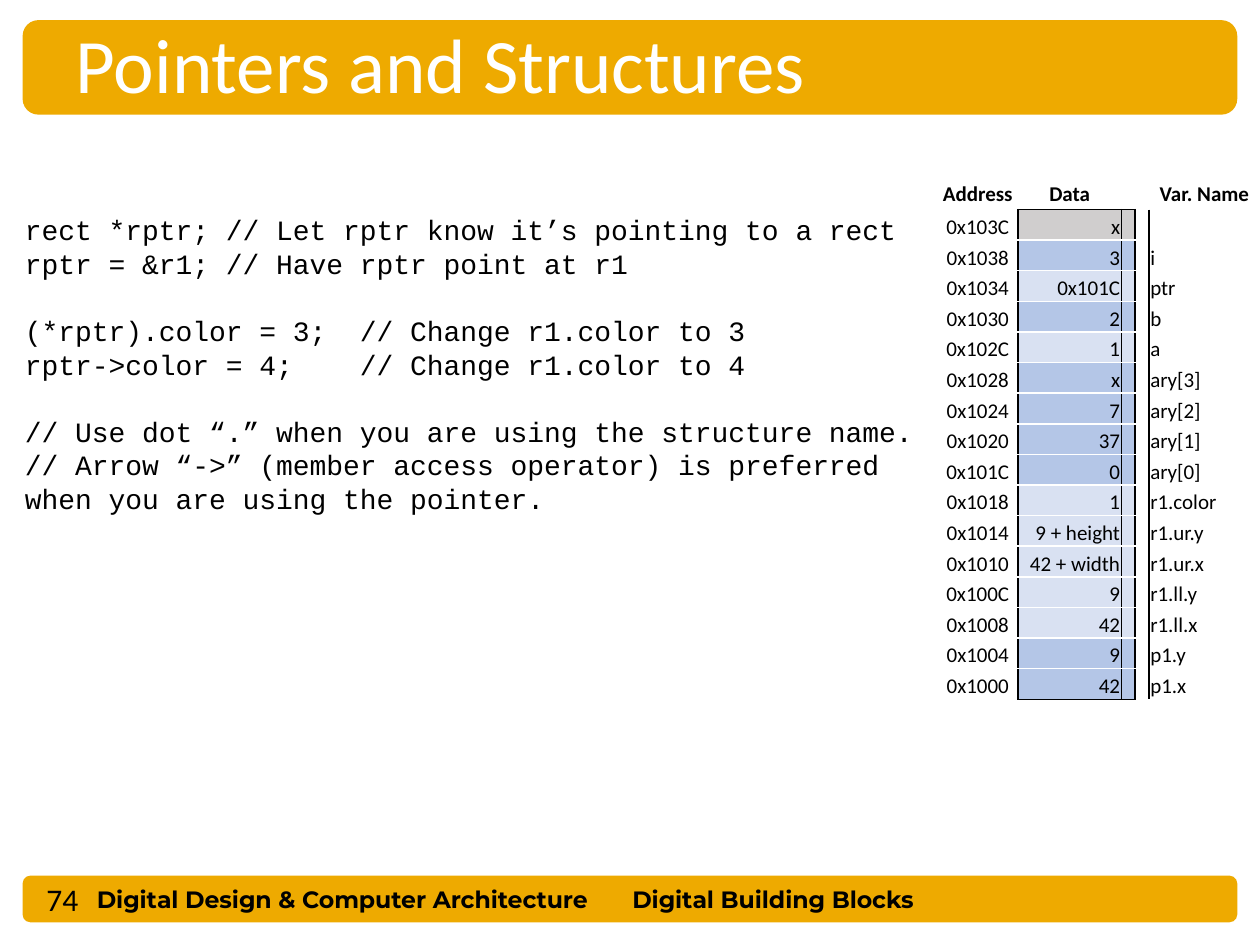
from typing import NamedTuple

from lxml.etree import SubElement
from pptx import Presentation
from pptx.dml.color import RGBColor
from pptx.enum.shapes import MSO_SHAPE
from pptx.enum.text import MSO_ANCHOR, PP_ALIGN
from pptx.oxml.ns import qn
from pptx.util import Inches, Pt

GOLD = RGBColor(0xEE, 0xAA, 0x00)
BLACK = RGBColor(0x00, 0x00, 0x00)
WHITE = RGBColor(0xFF, 0xFF, 0xFF)
GREY = RGBColor(0xD0, 0xCE, 0xCE)
BLUE = RGBColor(0xB4, 0xC6, 0xE7)
PALE = RGBColor(0xD9, 0xE1, 0xF2)

UNIT = Inches(0.1)  # the slide is a grid of 100 columns by 75 rows
TOP_ADDRESS = 0x103C
WORD_BYTES = 4
NO_STYLE = "{2D5ABB26-0587-4C30-8999-92F81FD0307C}"


class Box(NamedTuple):
    """Left, top, width and height in grid units."""
    left: float
    top: float
    width: float
    height: float

    def emu(self) -> list[int]:
        return [round(v * UNIT) for v in self]


class Style(NamedTuple):
    font: str
    size: float
    color: RGBColor = BLACK
    bold: bool = False


class Label(NamedTuple):
    text: str
    box: Box
    style: Style


class Word(NamedTuple):
    data: str
    name: str
    fill: RGBColor


class CodeLine(NamedTuple):
    text: str
    starts_group: bool = False


TITLE = Style("Calibri", 44, WHITE)
CODE = Style("Courier New", 16)
FOOTER = Style("Montserrat", 13.5, bold=True)
HEADER = Style("Calibri", 12, bold=True)
CELL = Style("Calibri", 12)

BARS = [Box(1.8, 69.5, 96.4, 3.7), Box(1.8, 1.6, 96.4, 7.5)]
LABELS = [
    Label("Digital Design & Computer Architecture", Box(6.7, 69.7, 44.4, 3.3), FOOTER),
    Label("Digital Building Blocks", Box(49.2, 69.7, 29.4, 3.3), FOOTER),
    Label("74", Box(2.7, 69.4, 8.2, 3.9), Style("Calibri", 18)),
]
CODE_LINES = [
    CodeLine("rect *rptr; // Let rptr know it’s pointing to a rect"),
    CodeLine("rptr = &r1; // Have rptr point at r1"),
    CodeLine("(*rptr).color = 3;  // Change r1.color to 3", True),
    CodeLine("rptr->color = 4;    // Change r1.color to 4"),
    CodeLine("// Use dot “.” when you are using the structure name.", True),
    CodeLine("// Arrow “->” (member access operator) is preferred "
             "when you are using the pointer."),
]
CODE_PITCH = Pt(19.2)

COLUMNS = [6.4, 8.2, 1.1, 1.1, 8.8]
HEADINGS = ["Address", "Data", "", "", "Var. Name"]
ALIGNS = [PP_ALIGN.CENTER, PP_ALIGN.RIGHT, PP_ALIGN.LEFT, PP_ALIGN.LEFT, PP_ALIGN.LEFT]
MEMORY = [
    Word("x", "", GREY),
    Word("3", "i", BLUE),
    Word("0x101C", "ptr", PALE),
    Word("2", "b", BLUE),
    Word("1", "a", PALE),
    Word("x", "ary[3]", BLUE),
    Word("7", "ary[2]", BLUE),
    Word("37", "ary[1]", BLUE),
    Word("0", "ary[0]", BLUE),
    Word("1", "r1.color", PALE),
    Word("9 + height", "r1.ur.y", PALE),
    Word("42 + width", "r1.ur.x", PALE),
    Word("9", "r1.ll.y", PALE),
    Word("42", "r1.ll.x", PALE),
    Word("9", "p1.y", BLUE),
    Word("42", "p1.x", BLUE),
]


def format_runs(p, style: Style) -> None:
    for r in p.runs:
        f = r.font
        f.name, f.size, f.bold = style.font, Pt(style.size), style.bold
        f.color.rgb = style.color


def add_bar(s, box: Box) -> None:
    sp = s.shapes.add_shape(MSO_SHAPE.ROUNDED_RECTANGLE, *box.emu())
    sp.shadow.inherit = False
    sp.fill.solid()
    sp.fill.fore_color.rgb = GOLD
    sp.line.fill.background()


def add_label(s, label: Label) -> None:
    tf = s.shapes.add_textbox(*label.box.emu()).text_frame
    tf.word_wrap = True
    tf.vertical_anchor = MSO_ANCHOR.MIDDLE
    tf.text = label.text
    format_runs(tf.paragraphs[0], label.style)


def place_title(s, text: str, box: Box) -> None:
    """Fill the title placeholder and bring it in front of the bars."""
    sp = s.shapes.title
    sp.left, sp.top, sp.width, sp.height = box.emu()
    sp.text_frame.text = text
    sp.text_frame.vertical_anchor = MSO_ANCHOR.MIDDLE
    p = sp.text_frame.paragraphs[0]
    p.alignment = PP_ALIGN.LEFT
    format_runs(p, TITLE)
    s.shapes._spTree.append(sp._element)


def add_code(s, lines: list[CodeLine], box: Box) -> None:
    tf = s.shapes.add_textbox(*box.emu()).text_frame
    tf.word_wrap = True
    for i, line in enumerate(lines):
        p = tf.add_paragraph() if i else tf.paragraphs[0]
        p.text = line.text
        p.line_spacing = CODE_PITCH
        p.space_before = CODE_PITCH if line.starts_group else Pt(0)
        format_runs(p, CODE)


def set_borders(cell, **sides: RGBColor) -> None:
    """Draw 1 pt borders on the sides L, R, T and B, given in that order."""
    for side, color in sides.items():
        ln = SubElement(cell._tc.get_or_add_tcPr(), qn(f"a:ln{side}"), w=str(Pt(1)))
        SubElement(SubElement(ln, qn("a:solidFill")), qn("a:srgbClr"), val=str(color))


def fill_cell(cell, text: str, style: Style, align: PP_ALIGN, anchor: MSO_ANCHOR) -> None:
    cell.margin_left = cell.margin_right = cell.margin_top = Inches(0.01)
    cell.margin_bottom = 0
    cell.vertical_anchor = anchor
    p = cell.text_frame.paragraphs[0]
    p.text = text
    p.alignment = align
    format_runs(p, style)
    if not text:  # keeps empty cells from stretching the row
        SubElement(p._p, qn("a:endParaRPr"), sz=str(style.size * 100))


def add_memory_table(s, words: list[Word], box: Box) -> None:
    frame = s.shapes.add_table(len(words) + 1, len(COLUMNS), *box.emu())
    table = frame.table
    table.first_row = table.horz_banding = False
    table._tbl.tblPr.find(qn("a:tableStyleId")).text = NO_STYLE
    for column, width in zip(table.columns, COLUMNS):
        column.width = round(width * UNIT)
    for c, heading in enumerate(HEADINGS):
        fill_cell(table.cell(0, c), heading, HEADER, PP_ALIGN.CENTER, MSO_ANCHOR.MIDDLE)
    for c in (1, 2):
        set_borders(table.cell(0, c), B=BLACK)

    for i, word in enumerate(words):
        cells = [table.cell(i + 1, c) for c in range(len(COLUMNS))]
        address = f"0x{TOP_ADDRESS - i * WORD_BYTES:X}"
        for cell, text, align in zip(cells, [address, word.data, "", "", word.name], ALIGNS):
            fill_cell(cell, text, CELL, align, MSO_ANCHOR.BOTTOM)
        top = BLACK if i == 0 else WHITE
        bottom = BLACK if i == len(words) - 1 else WHITE
        set_borders(cells[0], R=BLACK)
        set_borders(cells[1], L=BLACK, T=top, B=bottom)
        set_borders(cells[2], R=BLACK, T=top, B=bottom)
        set_borders(cells[3], L=BLACK)
        for cell in cells[1:3]:
            cell.fill.solid()
            cell.fill.fore_color.rgb = word.fill


def main() -> None:
    prs = Presentation()
    prs.slide_width, prs.slide_height = 100 * UNIT, 75 * UNIT
    s = prs.slides.add_slide(prs.slide_layouts[5])
    for bar in BARS:
        add_bar(s, bar)
    place_title(s, "Pointers and Structures", Box(5, 0.8, 86.7, 8.4))
    add_code(s, CODE_LINES, Box(1, 16.4, 73.4, 27.9))
    add_memory_table(s, MEMORY, Box(74.4, 14.2, sum(COLUMNS), 41.3))
    for label in LABELS:
        add_label(s, label)
    prs.save("out.pptx")


if __name__ == "__main__":
    main()
